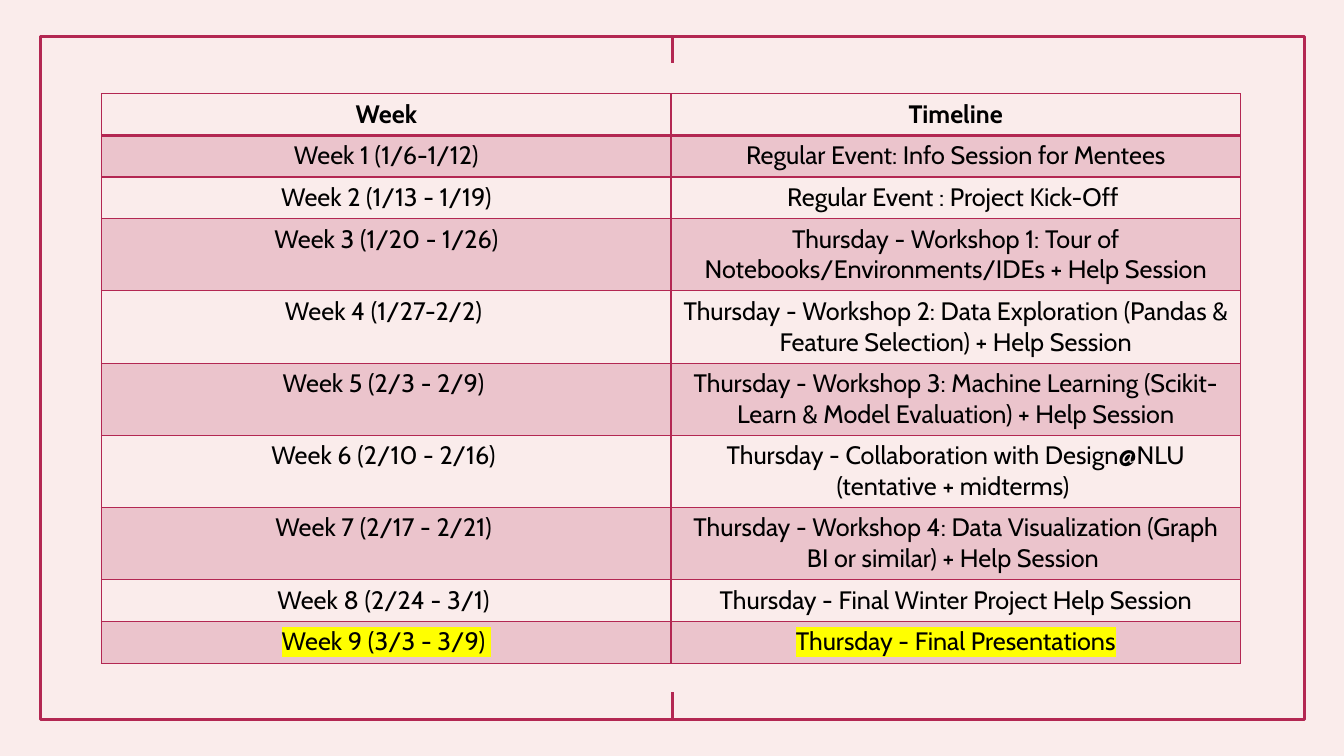
from lxml.etree import SubElement
from pptx import Presentation
from pptx.dml.color import RGBColor
from pptx.enum.shapes import MSO_CONNECTOR, MSO_SHAPE
from pptx.enum.text import PP_ALIGN
from pptx.oxml.ns import qn
from pptx.util import Cm, Pt

COLORS = {
    "background": "FAECEB",
    "accent": "B32752",
    "text": "000000",
    "highlight": "FFFF00",
}
FONT = "Cabin"
SHORT_ROW, TALL_ROW = 1.05, 1.82
WRAP_LENGTH = 50
HEADINGS = ("Week", "Timeline")
SCHEDULE = [
    ("Week 1 (1/6-1/12)", "Regular Event: Info Session for Mentees"),
    ("Week 2 (1/13 - 1/19)", "Regular Event : Project Kick-Off "),
    ("Week 3 (1/20 - 1/26)",
     "Thursday - Workshop 1: Tour of Notebooks/Environments/IDEs + Help Session"),
    ("Week 4 (1/27-2/2) ",
     "Thursday - Workshop 2: Data Exploration (Pandas & Feature Selection) + Help Session"),
    ("Week 5 (2/3 - 2/9) ",
     "Thursday - Workshop 3: Machine Learning (Scikit-Learn & Model Evaluation) + Help Session"),
    ("Week 6 (2/10 - 2/16) ",
     "Thursday - Collaboration with Design@NLU (tentative + midterms) "),
    ("Week 7 (2/17 - 2/21) ",
     "Thursday - Workshop 4: Data Visualization (Graph BI or similar) + Help Session "),
    ("Week 8 (2/24 - 3/1) ", "Thursday - Final Winter Project Help Session"),
    ("Week 9 (3/3 - 3/9) ", "Thursday - Final Presentations"),
]


def color(name):
    return RGBColor.from_string(COLORS[name])


def add_color(parent, name):
    return SubElement(parent, qn("a:srgbClr"), val=COLORS[name])


def add_frame(page, left, top, width, height, tick):
    frame = page.shapes.add_shape(
        MSO_SHAPE.RECTANGLE, Cm(left), Cm(top), Cm(width), Cm(height))
    frame.shadow.inherit = False
    frame.fill.background()
    frame.line.color.rgb = color("accent")
    frame.line.width = Pt(2.25)
    middle = Cm(left + width / 2)
    for side, start, end in (
        (2, top + height, top + height - tick),
        (0, top, top + tick),
    ):
        mark = page.shapes.add_connector(
            MSO_CONNECTOR.STRAIGHT, middle, Cm(start), middle, Cm(end))
        mark.begin_connect(frame, side)
        mark.line.color.rgb = color("accent")
        mark.line.width = Pt(2.25)
        SubElement(mark._element.spPr, qn("a:effectLst"))


def set_borders(cell, bottom, top):
    properties = cell._tc.get_or_add_tcPr()
    for side, points in (("L", 1), ("R", 1), ("T", top), ("B", bottom)):
        border = SubElement(properties, qn(f"a:ln{side}"), w=str(Pt(points)))
        add_color(SubElement(border, qn("a:solidFill")), "accent")


def fill_cell(cell, shaded):
    if not shaded:
        cell.fill.background()
        return
    cell.fill.solid()
    cell.fill.fore_color.rgb = color("accent")
    tint = cell._tc.tcPr.find(qn("a:solidFill")).find(qn("a:srgbClr"))
    SubElement(tint, qn("a:alpha"), val="20000")


def write_cell(cell, text, bold, highlighted):
    para = cell.text_frame.paragraphs[0]
    para.alignment = PP_ALIGN.CENTER
    para.font.name = FONT
    para.font.size = Pt(18)
    para.font.bold = bold
    para.font.color.rgb = color("text")
    span = para.add_run()
    span.text = text
    if highlighted:
        marker = SubElement(span._r.get_or_add_rPr(), qn("a:highlight"))
        add_color(marker, "highlight")


def add_schedule(page, left, top, width):
    rows = [HEADINGS, *SCHEDULE]
    heights = [TALL_ROW if len(event) > WRAP_LENGTH else SHORT_ROW
               for week, event in rows]
    table = page.shapes.add_table(
        len(rows), len(HEADINGS),
        Cm(left), Cm(top), Cm(width), Cm(sum(heights))).table
    table.first_row = False
    table.horz_banding = False
    for index, (texts, height) in enumerate(zip(rows, heights)):
        table.rows[index].height = Cm(height)
        for column, text in enumerate(texts):
            cell = table.cell(index, column)
            set_borders(cell, bottom=2 if index == 0 else 1,
                        top=2 if index == 1 else 1)
            fill_cell(cell, shaded=index % 2 == 1)
            write_cell(cell, text, bold=index == 0,
                       highlighted=index == len(rows) - 1)


def main():
    deck = Presentation()
    deck.slide_width, deck.slide_height = Cm(33.87), Cm(19.05)
    page = deck.slides.add_slide(deck.slide_layouts[6])
    page.background.fill.solid()
    page.background.fill.fore_color.rgb = color("background")
    add_frame(page, left=1.02, top=0.91, width=31.85, height=17.22, tick=0.69)
    add_schedule(page, left=2.56, top=2.36, width=28.7)
    deck.save("out.pptx")


if __name__ == "__main__":
    main()
